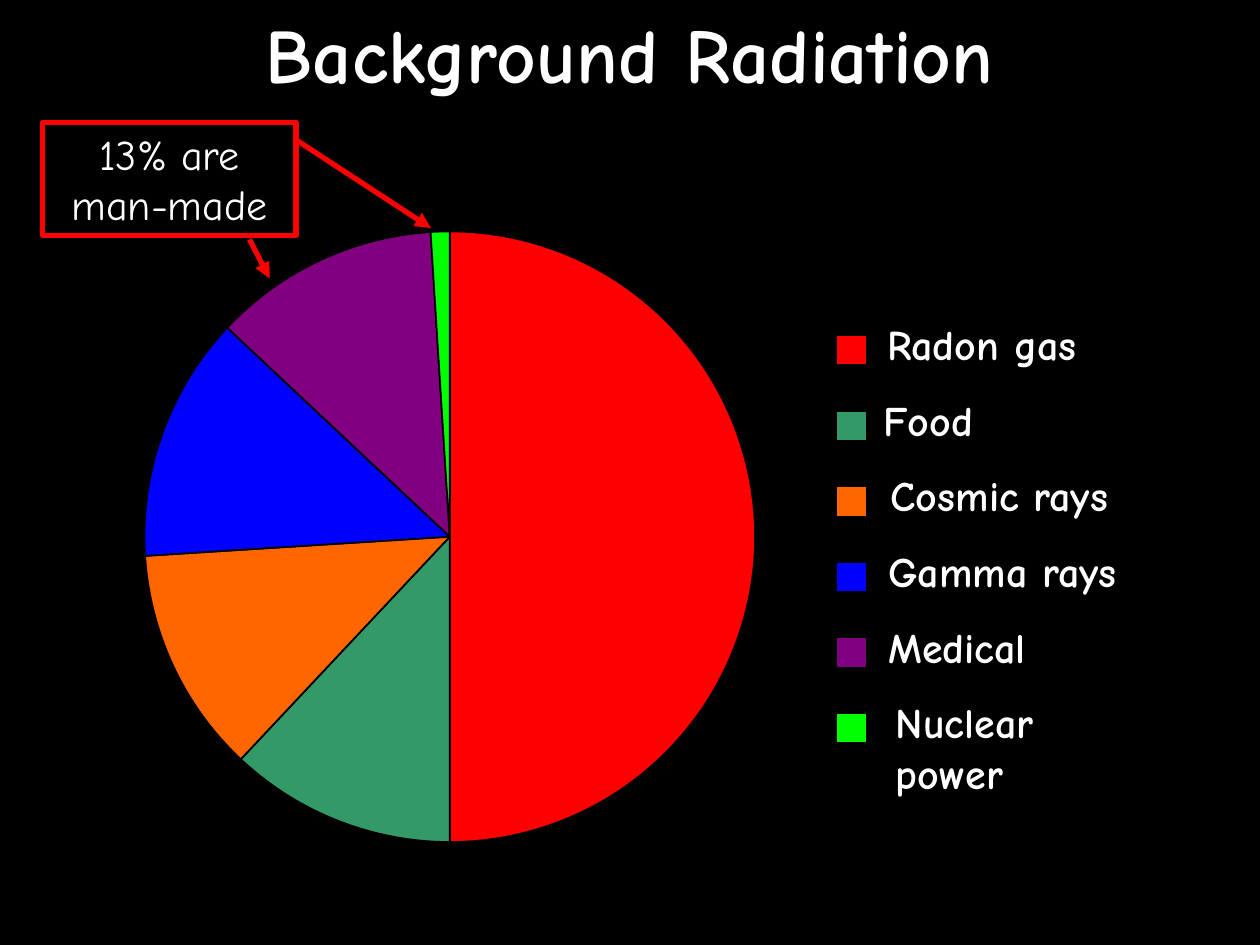
from pptx import Presentation
from pptx.chart.data import CategoryChartData
from pptx.dml.color import RGBColor
from pptx.enum.chart import XL_CHART_TYPE
from pptx.enum.shapes import MSO_CONNECTOR, MSO_SHAPE
from pptx.enum.text import MSO_ANCHOR, PP_ALIGN
from pptx.oxml import parse_xml
from pptx.oxml.ns import nsdecls, qn
from pptx.util import Inches, Pt
from lxml import etree

PIE = XL_CHART_TYPE.PIE
STRAIGHT = MSO_CONNECTOR.STRAIGHT
RECTANGLE = MSO_SHAPE.RECTANGLE
TOP, MIDDLE = MSO_ANCHOR.TOP, MSO_ANCHOR.MIDDLE
LEFT, CENTER = PP_ALIGN.LEFT, PP_ALIGN.CENTER

FONT = "Comic Neue"
BLACK = RGBColor(0x00, 0x00, 0x00)
WHITE = RGBColor(0xFF, 0xFF, 0xFF)
RED = RGBColor(0xFF, 0x00, 0x00)
GREEN = RGBColor(0x33, 0x99, 0x66)
ORANGE = RGBColor(0xFF, 0x66, 0x00)
BLUE = RGBColor(0x00, 0x00, 0xFF)
PURPLE = RGBColor(0x80, 0x00, 0x80)
LIME = RGBColor(0x00, 0xFF, 0x00)

# Source, percentage, colour, left edge of the legend label
SOURCES = [
    ("Radon gas", 50, RED, 7.04),
    ("Food", 12, GREEN, 7.01),
    ("Cosmic rays", 12, ORANGE, 7.07),
    ("Gamma rays", 13, BLUE, 7.05),
    ("Medical", 12, PURPLE, 7.05),
    ("Nuclear power", 1, LIME, 7.11),
]


def write_text(frame, text, size, align, anchor, bold, margins=(0, 0), wrap=True):
    frame.word_wrap = wrap
    frame.vertical_anchor = anchor
    frame.margin_left = frame.margin_right = Inches(margins[0])
    frame.margin_top = frame.margin_bottom = Inches(margins[1])
    para = frame.paragraphs[0]
    para.text = text
    para.alignment = align
    para.space_before = Pt(0)
    font = para.font
    font.name, font.size, font.bold = FONT, Pt(size), bold
    font.color.rgb = WHITE


def add_title(page, left, top, width, height):
    title = page.shapes.title
    title.left, title.top = Inches(left), Inches(top)
    title.width, title.height = Inches(width), Inches(height)
    write_text(title.text_frame, "Background Radiation", 44, CENTER, MIDDLE,
               True, (0.1, 0.05))


def add_pie(page, left, top, width, height):
    data = CategoryChartData()
    data.categories = [name for name, *_ in SOURCES]
    data.add_series("Share (%)", [share for _, share, *_ in SOURCES])
    chart = page.shapes.add_chart(PIE, Inches(left), Inches(top), Inches(width),
                                  Inches(height), data).chart
    chart.has_legend = chart.has_title = False
    chart.font.name, chart.font.size = FONT, Pt(24)
    chart.font.color.rgb = WHITE
    plot = chart.plots[0]
    plot.vary_by_categories = True
    for index, (_, _, color, _) in enumerate(SOURCES):
        style = plot.series[0].points[index].format
        style.fill.solid()
        style.fill.fore_color.rgb = color
        style.line.color.rgb = BLACK
        style.line.width = Pt(1)

    # Let the pie fill the whole chart frame
    plot_area = chart.element.find(".//" + qn("c:plotArea"))
    for old in plot_area.findall(qn("c:layout")):
        plot_area.remove(old)
    plot_area.insert(0, parse_xml(
        f'<c:layout {nsdecls("c")}><c:manualLayout><c:layoutTarget val="inner"/>'
        '<c:xMode val="edge"/><c:yMode val="edge"/><c:x val="0"/><c:y val="0"/>'
        '<c:w val="1"/><c:h val="1"/></c:manualLayout></c:layout>'))


def add_box(page, left, top, width, height, fill, line, line_width):
    box = page.shapes.add_shape(RECTANGLE, Inches(left), Inches(top),
                                Inches(width), Inches(height))
    box.shadow.inherit = False
    if fill is None:
        box.fill.background()
    else:
        box.fill.solid()
        box.fill.fore_color.rgb = fill
    box.line.color.rgb = line
    box.line.width = Pt(line_width)
    return box


def add_legend(page, left, top, right, pitch):
    for row, (name, _, color, label_left) in enumerate(SOURCES):
        y = top + row * pitch
        add_box(page, left, y + 0.13, 0.24, 0.24, color, BLACK, 1)
        label = page.shapes.add_textbox(Inches(label_left), Inches(y),
                                        Inches(right - label_left), Inches(0.4))
        write_text(label.text_frame, name, 24, LEFT, TOP, True, wrap=False)


def add_arrow(page, start, end):
    arrow = page.shapes.add_connector(STRAIGHT, *map(Inches, start + end))
    arrow.line.color.rgb = RED
    arrow.line.width = Pt(3)
    line = arrow.line._get_or_add_ln()
    etree.SubElement(line, qn("a:tailEnd"), type="triangle")
    etree.SubElement(arrow._element.spPr, qn("a:effectLst"))


def add_callout(page, left, top, width, height):
    box = add_box(page, left, top, width, height, None, RED, 3)
    write_text(box.text_frame, "13% are man-made", 24, CENTER, TOP, False,
               (0.1, 0.05))
    right, bottom = left + width, top + height
    add_arrow(page, (right - 0.37, bottom + 0.03), (right - 0.21, bottom + 0.34))
    add_arrow(page, (right, top + 0.14), (right + 1.07, top + 0.84))


def main():
    deck = Presentation()
    deck.slide_width, deck.slide_height = Inches(10), Inches(7.5)
    page = deck.slides.add_slide(deck.slide_layouts[5])
    page.background.fill.solid()
    page.background.fill.fore_color.rgb = BLACK
    add_title(page, 0, 0, 10, 0.84)
    add_pie(page, 1.14, 1.83, 4.86, 4.86)
    add_legend(page, 6.64, 2.53, 9.17, 0.6)
    add_callout(page, 0.34, 0.97, 2.01, 0.9)
    deck.save("out.pptx")


if __name__ == "__main__":
    main()
